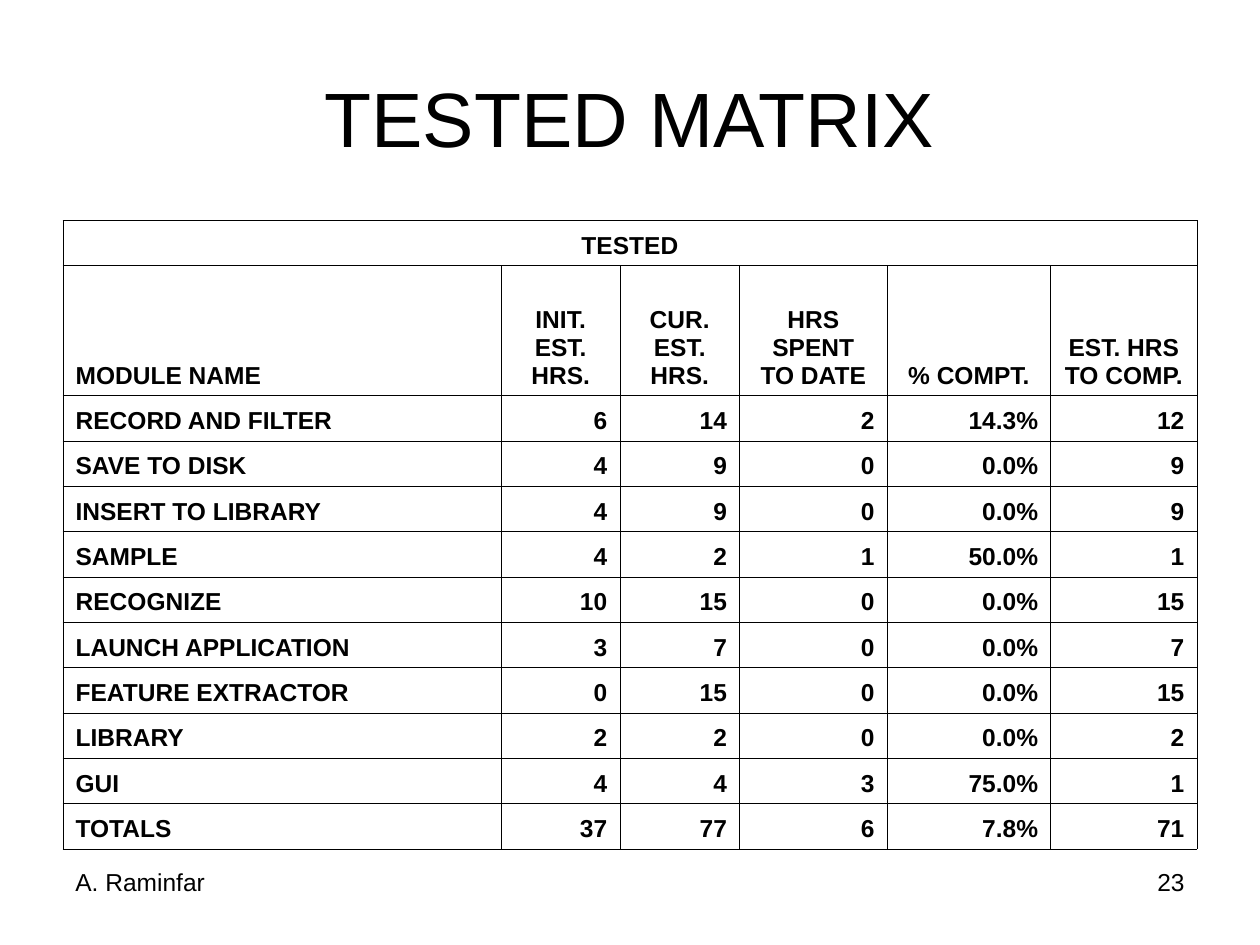
import dataclasses

import lxml.etree
import pptx
import pptx.dml.color
import pptx.enum.text
import pptx.oxml.ns
import pptx.util

Inches = pptx.util.Inches
Align = pptx.enum.text.PP_ALIGN
Anchor = pptx.enum.text.MSO_ANCHOR


@dataclasses.dataclass
class Theme:
    font: str = "Arial"
    ink: str = "000000"
    paper: str = "FFFFFF"
    title_size: int = 44
    body_size: int = 14
    rule_width: float = 0.45


HEADERS = ["MODULE NAME", "INIT. EST. HRS.", "CUR. EST. HRS.",
           "HRS SPENT TO DATE", "% COMPT.", "EST. HRS TO COMP."]
MODULES = [
    ["RECORD AND FILTER", "6", "14", "2", "14.3%", "12"],
    ["SAVE TO DISK", "4", "9", "0", "0.0%", "9"],
    ["INSERT TO LIBRARY", "4", "9", "0", "0.0%", "9"],
    ["SAMPLE", "4", "2", "1", "50.0%", "1"],
    ["RECOGNIZE", "10", "15", "0", "0.0%", "15"],
    ["LAUNCH APPLICATION", "3", "7", "0", "0.0%", "7"],
    ["FEATURE EXTRACTOR", "0", "15", "0", "0.0%", "15"],
    ["LIBRARY", "2", "2", "0", "0.0%", "2"],
    ["GUI", "4", "4", "3", "75.0%", "1"],
    ["TOTALS", "37", "77", "6", "7.8%", "71"],
]
COLUMN_WIDTHS = [3.48, 0.94, 0.95, 1.17, 1.3, 1.16]
ROW_HEIGHT = 0.36
HEADER_HEIGHT = 1.03
MARGIN = 0.5
FOOTER_TOP, FOOTER_WIDTH, FOOTER_HEIGHT = 6.83, 2.33, 0.52


class SlideBuilder:
    def __init__(self, page, theme):
        self.page = page
        self.theme = theme
        fill = page.background.fill
        fill.solid()
        fill.fore_color.rgb = pptx.dml.color.RGBColor.from_string(theme.paper)

    def add_span(self, frame, text, size, align, bold=False):
        frame.word_wrap = True
        para = frame.paragraphs[0]
        para.alignment = align
        span = para.add_run()
        span.text = text
        span.font.name = self.theme.font
        span.font.size = pptx.util.Pt(size)
        span.font.bold = bold
        span.font.color.rgb = pptx.dml.color.RGBColor.from_string(self.theme.ink)

    def text(self, text, left, top, width, height, size, align, anchor=Anchor.TOP):
        box = self.page.shapes.add_textbox(
            Inches(left), Inches(top), Inches(width), Inches(height))
        box.text_frame.vertical_anchor = anchor
        self.add_span(box.text_frame, text, size, align)

    def outline(self, cell):
        """Rule all four sides of a cell and leave it unfilled."""
        properties = cell._tc.get_or_add_tcPr()
        for side in ("a:lnL", "a:lnR", "a:lnT", "a:lnB"):
            line = lxml.etree.SubElement(
                properties, pptx.oxml.ns.qn(side),
                w=str(pptx.util.Pt(self.theme.rule_width)))
            solid = lxml.etree.SubElement(line, pptx.oxml.ns.qn("a:solidFill"))
            lxml.etree.SubElement(
                solid, pptx.oxml.ns.qn("a:srgbClr"), val=self.theme.ink)
        cell.fill.background()

    def fill_cell(self, cell, text, align):
        cell.vertical_anchor = Anchor.BOTTOM
        self.add_span(cell.text_frame, text, self.theme.body_size, align, bold=True)

    def table(self, caption, headers, body, left, top):
        heights = [ROW_HEIGHT, HEADER_HEIGHT] + [ROW_HEIGHT] * len(body)
        table = self.page.shapes.add_table(
            len(heights), len(headers), Inches(left), Inches(top),
            Inches(sum(COLUMN_WIDTHS)), Inches(sum(heights))).table
        table.first_row = False
        table.horz_banding = False
        for column, width in zip(table.columns, COLUMN_WIDTHS):
            column.width = Inches(width)
        for row, height in zip(table.rows, heights):
            row.height = Inches(height)
        for cell in table.iter_cells():
            cell.margin_left = cell.margin_right = Inches(0.1)
            cell.margin_top = cell.margin_bottom = Inches(0.05)
            self.outline(cell)

        table.cell(0, 0).merge(table.cell(0, len(headers) - 1))
        self.fill_cell(table.cell(0, 0), caption, Align.CENTER)
        for r, values in enumerate([headers] + body, start=1):
            value_align = Align.CENTER if r == 1 else Align.RIGHT
            for c, value in enumerate(values):
                self.fill_cell(table.cell(r, c), value, value_align if c else Align.LEFT)


def main():
    deck = pptx.Presentation()
    deck.slide_width, deck.slide_height = Inches(10), Inches(7.5)
    theme = Theme()
    builder = SlideBuilder(deck.slides.add_slide(deck.slide_layouts[6]), theme)

    builder.text("TESTED MATRIX", MARGIN, 0.3, 9, 1.25,
                 theme.title_size, Align.CENTER, Anchor.MIDDLE)
    builder.table("TESTED", HEADERS, MODULES, MARGIN, 1.75)
    for text, left, align in [
        ("23", 10 - MARGIN - FOOTER_WIDTH, Align.RIGHT),
        ("A. Raminfar", MARGIN, Align.LEFT),
    ]:
        builder.text(text, left, FOOTER_TOP, FOOTER_WIDTH, FOOTER_HEIGHT,
                     theme.body_size, align)
    deck.save("out.pptx")


if __name__ == "__main__":
    main()
